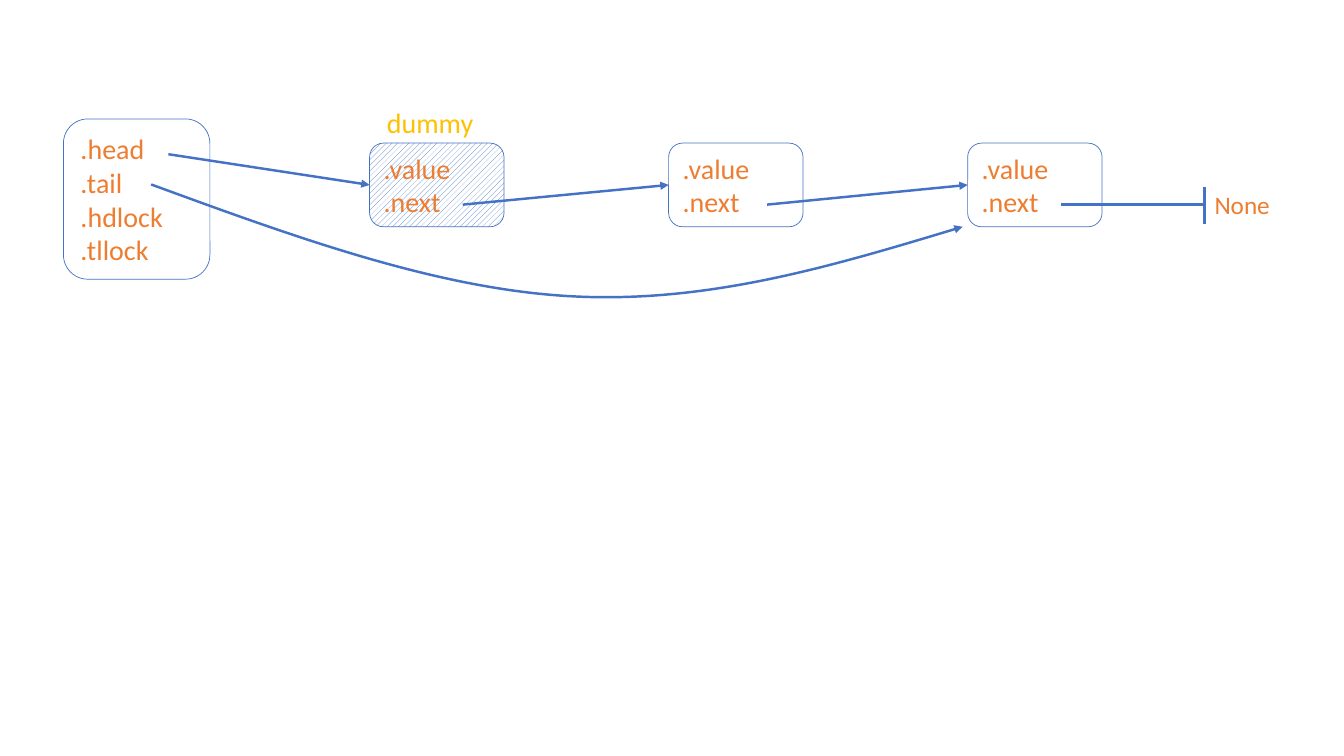
"""Draw a linked queue with a dummy node, head and tail pointers, and a None end."""
from lxml.etree import SubElement
from pptx import Presentation
from pptx.dml.color import RGBColor
from pptx.enum.dml import MSO_PATTERN
from pptx.enum.shapes import MSO_CONNECTOR, MSO_SHAPE
from pptx.enum.text import MSO_ANCHOR, MSO_AUTO_SIZE, PP_ALIGN
from pptx.oxml.ns import qn
from pptx.util import Inches, Pt

BLUE = RGBColor(0x44, 0x72, 0xC4)
ORANGE = RGBColor(0xED, 0x7D, 0x31)
GOLD = RGBColor(0xFF, 0xC0, 0x00)
WHITE = RGBColor(0xFF, 0xFF, 0xFF)

deck = Presentation()
deck.slide_width, deck.slide_height = Inches(13.333), Inches(7.5)
page = deck.slides.add_slide(deck.slide_layouts[6])


def place(*percents):
    """Turn alternating percentages of slide width and height into lengths."""
    sides = (deck.slide_width, deck.slide_height)
    return [round(sides[i % 2] * share / 100) for i, share in enumerate(percents)]


def write(shape, lines, size, color):
    """Fill a shape with left-aligned lines of text."""
    frame = shape.text_frame
    frame.text = "\n".join(lines)
    for para in frame.paragraphs:
        para.alignment = PP_ALIGN.LEFT
        para.font.name, para.font.size = "Calibri", Pt(size)
        para.font.color.rgb = color


NODE_LEFT, NODE_STEP, NODE_TOP = 27.5, 22.25, 18.93
NODE_WIDTH, NODE_HEIGHT = 10, 11.07
node_lefts = [NODE_LEFT + NODE_STEP * i for i in range(3)]
node_middle = NODE_TOP + NODE_HEIGHT / 2

boxes = [((4.72, 15.73, 10.9, 21.2), [".head", ".tail", ".hdlock", ".tllock"])]
boxes += [((left, NODE_TOP, NODE_WIDTH, NODE_HEIGHT), [".value", ".next"]) for left in node_lefts]
for index, (area, fields) in enumerate(boxes):
    box = page.shapes.add_shape(MSO_SHAPE.ROUNDED_RECTANGLE, *place(*area))
    box.shadow.inherit = False
    box.line.color.rgb, box.line.width = BLUE, Pt(0.5)
    if index == 1:
        box.fill.patterned()
        box.fill.pattern = MSO_PATTERN.WIDE_UPWARD_DIAGONAL
        box.fill.fore_color.rgb, box.fill.back_color.rgb = BLUE, WHITE
    else:
        box.fill.background()
    box.text_frame.vertical_anchor = MSO_ANCHOR.MIDDLE
    write(box, fields, 20, ORANGE)

NEXT_Y, NONE_X = 27.07, 89.63
links = [
    ((12.53, 20.4, node_lefts[0], node_middle), True),
    ((34.43, NEXT_Y, node_lefts[1], node_middle), True),
    ((57.08, NEXT_Y, node_lefts[2], node_middle), True),
    ((78.98, NEXT_Y, NONE_X, NEXT_Y), False),
    ((NONE_X, 29.6, NONE_X, 24.8), False),
]
strokes = []
for ends, arrow in links:
    link = page.shapes.add_connector(MSO_CONNECTOR.STRAIGHT, *place(*ends))
    strokes.append((link, arrow))

curve_points = [
    (11.25, 24.4), (21.9, 31.33), (32.55, 38.27), (42.6, 39.2),
    (52.65, 40.13), (62.18, 35.07), (71.63, 30),
]
start, *bends = [tuple(place(*point)) for point in curve_points]
builder = page.shapes.build_freeform(*start)
builder.add_line_segments(bends, close=False)
tail_curve = builder.convert_to_shape()
tail_curve.fill.background()
segments = tail_curve._element.xpath(".//a:lnTo")
for first in range(0, len(segments), 3):
    bezier = SubElement(segments[first].getparent(), qn("a:cubicBezTo"))
    for segment in segments[first:first + 3]:
        bezier.append(segment[0])
        segment.getparent().remove(segment)
strokes.append((tail_curve, True))

for stroke, arrow in strokes:
    stroke.line.color.rgb, stroke.line.width = BLUE, Pt(1.75)
    properties = stroke._element.spPr
    if arrow:
        SubElement(properties.find(qn("a:ln")), qn("a:tailEnd"), type="triangle")
    SubElement(properties, qn("a:effectLst"))

labels = [
    ("None", (NONE_X, 24.4, 5.7, 5.33), 18, ORANGE),
    ("dummy", (28.05, 13.33, 8.03, 5.87), 20, GOLD),
]
for words, area, size, color in labels:
    label = page.shapes.add_textbox(*place(*area))
    label.text_frame.word_wrap = False
    label.text_frame.auto_size = MSO_AUTO_SIZE.SHAPE_TO_FIT_TEXT
    write(label, [words], size, color)

deck.save("out.pptx")
